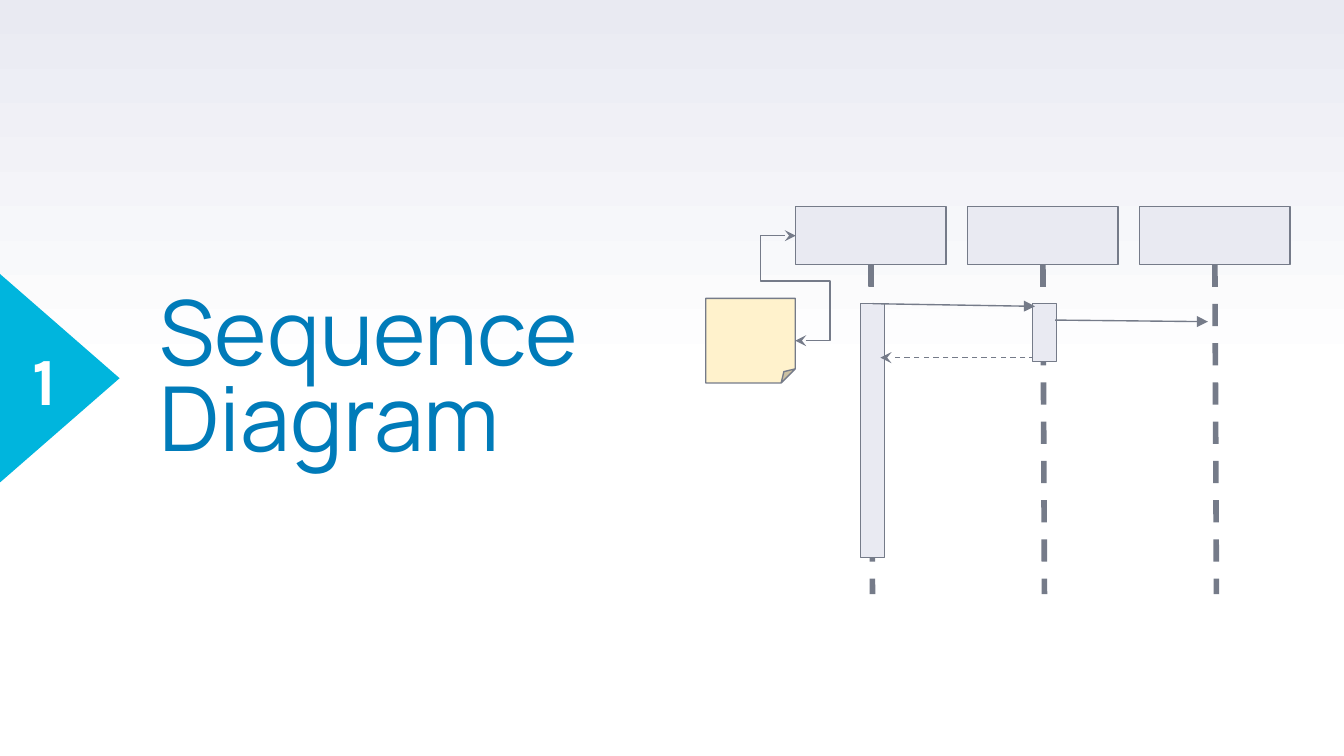
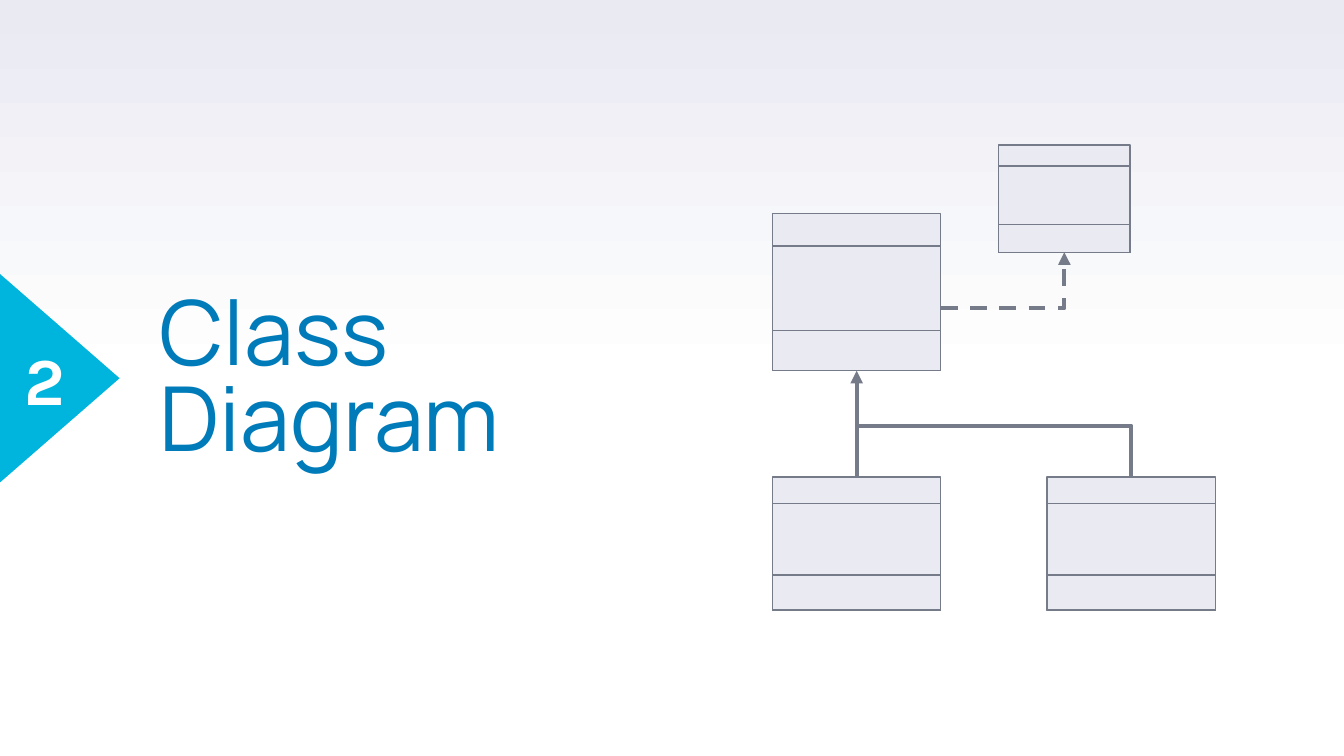
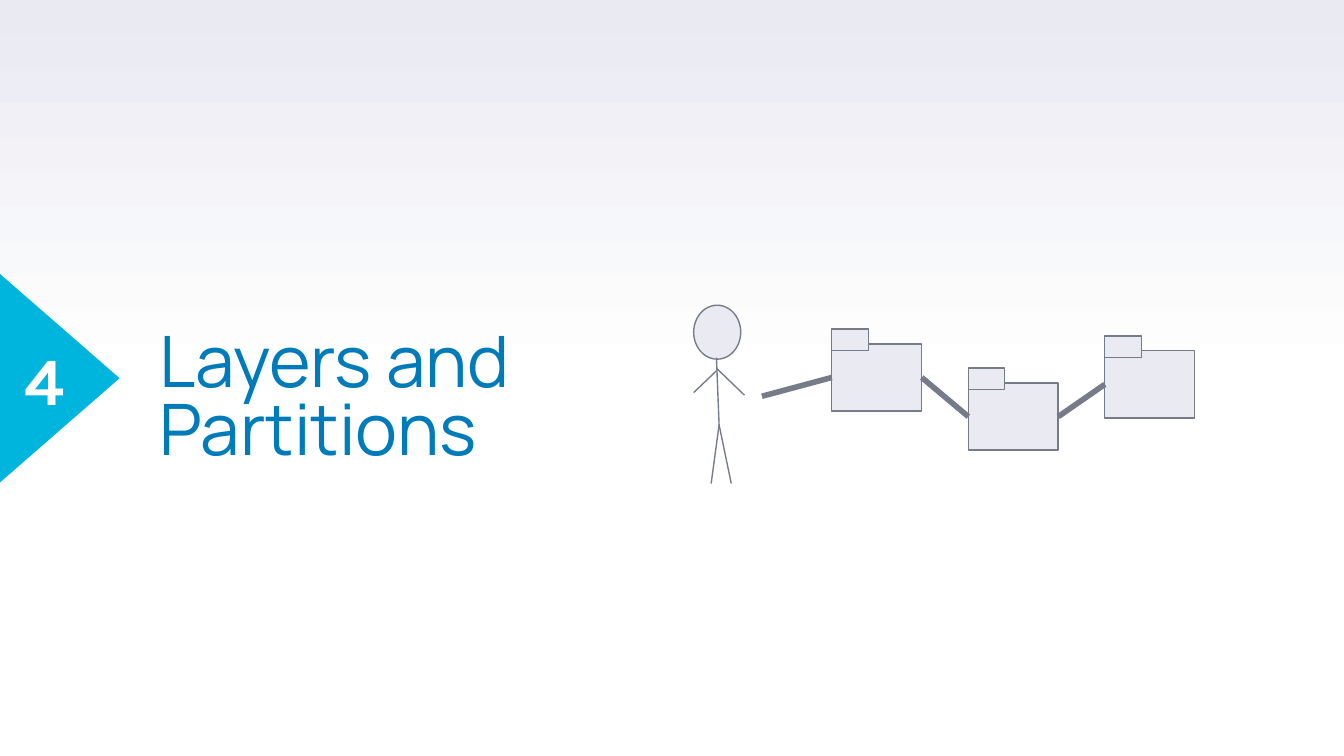
from copy import deepcopy
from dataclasses import dataclass
from typing import NamedTuple

from lxml.etree import SubElement
from pptx import Presentation
from pptx.dml.color import RGBColor
from pptx.enum.dml import MSO_LINE
from pptx.enum.shapes import MSO_CONNECTOR, MSO_SHAPE
from pptx.enum.text import MSO_ANCHOR, PP_ALIGN
from pptx.oxml.ns import qn
from pptx.shapes.autoshape import Shape
from pptx.shapes.connector import Connector
from pptx.slide import Slide
from pptx.util import Cm, Pt

COLORS = {
    "white": "FFFFFF",
    "haze": "E9EAF2",
    "cyan": "00B5DD",
    "blue": "007BB9",
    "gray": "757B89",
    "cream": "FFF2CC",
}
TOP, LEFT, BOTTOM, RIGHT = 0, 1, 2, 3


class Box(NamedTuple):
    left: float
    top: float
    wide: float
    high: float


class Spot(NamedTuple):
    x: float
    y: float


class Joint(NamedTuple):
    shape: Shape
    side: int


@dataclass(frozen=True)
class Stroke:
    width: float = 0.75
    dash: bool = False
    head: str = ""
    tail: str = ""


@dataclass(frozen=True)
class Font:
    name: str
    size: int
    color: str
    bold: bool = False


@dataclass(frozen=True)
class Card:
    """Class symbol: stacked boxes that share one bottom edge."""
    left: float
    top: float
    wide: float
    highs: tuple[float, float, float]


THIN = Stroke()
THICK = Stroke(3)
BADGE = Box(0, 5.18, 1.7, 3.94)
WEDGE = Box(-0.84, 6.02, 3.94, 2.26)


def tint(name: str) -> RGBColor:
    return RGBColor.from_string(COLORS[name])


def add_box(slide: Slide, box: Box, fill: str = "haze",
            kind: MSO_SHAPE = MSO_SHAPE.RECTANGLE, edge: str = "gray") -> Shape:
    shape = slide.shapes.add_shape(kind, *map(Cm, box))
    shape.shadow.inherit = False
    shape.fill.solid()
    shape.fill.fore_color.rgb = tint(fill)
    if edge:
        shape.line.color.rgb = tint(edge)
        shape.line.width = Pt(0.75)
    else:
        shape.line.fill.background()
    return shape


def add_line(slide: Slide, start: Spot | Joint, end: Spot | Joint,
             stroke: Stroke = THIN,
             kind: MSO_CONNECTOR = MSO_CONNECTOR.STRAIGHT) -> Connector:
    line = slide.shapes.add_connector(kind, 0, 0, 0, 0)
    if isinstance(start, Joint):
        line.begin_connect(*start)
    else:
        line.begin_x, line.begin_y = map(Cm, start)
    if isinstance(end, Joint):
        line.end_connect(*end)
    else:
        line.end_x, line.end_y = map(Cm, end)
    line.line.color.rgb = tint("gray")
    line.line.width = Pt(stroke.width)
    if stroke.dash:
        line.line.dash_style = MSO_LINE.DASH
    props = line.element.find(qn("p:spPr"))
    for tag, tip in (("a:headEnd", stroke.head), ("a:tailEnd", stroke.tail)):
        if tip:
            SubElement(props.find(qn("a:ln")), qn(tag), type=tip)
    SubElement(props, qn("a:effectLst"))
    return line


def add_elbow(slide: Slide, start: Spot | Joint, end: Spot | Joint,
              stroke: Stroke, preset: str = "bentConnector2",
              bends: tuple[float, ...] = ()) -> None:
    """Draw an elbow; bends are fractions of its width and height in turn."""
    line = add_line(slide, start, end, stroke, MSO_CONNECTOR.ELBOW)
    shape = line.element.find(".//" + qn("a:prstGeom"))
    shape.set("prst", preset)
    for count, bend in enumerate(bends, 1):
        SubElement(shape.find(qn("a:avLst")), qn("a:gd"),
                   name=f"adj{count}", fmla=f"val {round(bend * 100000)}")


def add_text(slide: Slide, box: Box, text: str, font: Font, inset: float,
             anchor: MSO_ANCHOR, align: PP_ALIGN, space: float) -> None:
    frame = slide.shapes.add_textbox(*map(Cm, box)).text_frame
    frame.word_wrap = True
    frame.vertical_anchor = anchor
    frame.margin_left = frame.margin_right = Cm(inset)
    frame.margin_top = frame.margin_bottom = Cm(inset)
    frame.text = text
    for para in frame.paragraphs:
        para.alignment = align
        para.line_spacing = space
        for run in para.runs:
            run.font.name = font.name
            run.font.size = Pt(font.size)
            run.font.bold = font.bold
            run.font.color.rgb = tint(font.color)


def paint(slide: Slide) -> None:
    """Fade the background from white at the bottom to haze at the top."""
    fill = slide.background.fill
    fill.gradient()
    fill.gradient_angle = 90
    first = slide.element.find(".//" + qn("a:gs"))
    first.addnext(deepcopy(first))
    fade = ((0, "white"), (0.5, "white"), (1, "haze"))
    for stop, (place, color) in zip(fill.gradient_stops, fade):
        stop.position = place
        stop.color.rgb = tint(color)


def start_slide(deck: Presentation, number: str, title: str, wide: float,
                size: int = 48) -> Slide:
    slide = deck.slides.add_slide(deck.slide_layouts[6])
    paint(slide)
    wedge = add_box(slide, WEDGE, "cyan", MSO_SHAPE.ISOSCELES_TRIANGLE, "")
    wedge.rotation = 90
    add_text(slide, Box(3.02, 5.64, wide, 3.23), title,
             Font("Manrope", size, "blue"), 0,
             MSO_ANCHOR.BOTTOM, PP_ALIGN.LEFT, 0.8)
    add_text(slide, BADGE, number, Font("Karla", 36, "white", True), 0.25,
             MSO_ANCHOR.MIDDLE, PP_ALIGN.CENTER, 1)
    return slide


def draw_sequence(slide: Slide) -> None:
    heads = [add_box(slide, Box(15.04 + 3.25 * col, 3.91, 2.84, 1.09))
             for col in range(3)]
    for col, head in enumerate(heads):
        add_line(slide, Joint(head, BOTTOM), Spot(16.49 + 3.25 * col, 11.23),
                 Stroke(3, dash=True))
    caller = add_box(slide, Box(16.26, 5.74, 0.46, 4.8))
    add_line(slide, Spot(19.56, 6.76), Spot(16.64, 6.76),
             Stroke(dash=True, tail="stealth"))
    add_box(slide, Box(19.51, 5.74, 0.46, 1.09))
    call = Stroke(tail="triangle")
    add_line(slide, Joint(caller, TOP), Spot(19.56, 5.79), call)
    add_line(slide, Spot(19.94, 6.05), Spot(22.83, 6.08), call)
    note = add_box(slide, Box(13.34, 5.64, 1.69, 1.6), "cream",
                   MSO_SHAPE.FOLDED_CORNER)
    add_elbow(slide, Joint(note, RIGHT), Joint(heads[0], LEFT),
              Stroke(head="stealth", tail="stealth"),
              "bentConnector5", (66, 0.57, -66))


def add_card(slide: Slide, card: Card) -> list[Shape]:
    base = card.top + card.highs[0]
    return [add_box(slide, Box(card.left, base - high, card.wide, high))
            for high in card.highs]


def draw_classes(slide: Slide) -> None:
    parent = add_card(slide, Card(14.6, 4.04, 3.18, (2.97, 2.36, 0.76)))
    child, other = [
        add_card(slide, Card(left, 9.02, 3.18, (2.51, 2.01, 0.66)))
        for left in (14.6, 19.79)]
    helper = add_card(slide, Card(18.87, 2.74, 2.49, (2.03, 1.63, 0.53)))
    add_line(slide, Joint(parent[0], BOTTOM), Joint(child[0], TOP),
             Stroke(2.25, head="triangle"))
    add_elbow(slide, Joint(parent[1], RIGHT), Joint(helper[0], BOTTOM),
              Stroke(2.25, dash=True, tail="triangle"))
    add_elbow(slide, Spot(16.23, 8.05), Joint(other[0], TOP), Stroke(2.25))


def draw_actor(slide: Slide) -> None:
    add_box(slide, Box(13.11, 5.77, 0.89, 1.02),
            kind=MSO_SHAPE.FLOWCHART_CONNECTOR)
    neck, hip = Spot(13.54, 6.76), Spot(13.59, 8.03)
    limbs = (
        (neck, hip),
        (Spot(13.54, 6.96), Spot(14.07, 7.47)),
        (Spot(13.11, 7.42), Spot(13.54, 7.01)),
        (hip, Spot(13.44, 9.14)),
        (hip, Spot(13.82, 9.14)),
    )
    for start, end in limbs:
        add_line(slide, start, end)


def draw_layers(slide: Slide) -> None:
    draw_actor(slide)
    start = Spot(14.4, 7.49)
    for col, top in enumerate((6.5, 7.24, 6.63)):
        left = 15.72 + 2.58 * col
        folder = add_box(slide, Box(left, top, 1.7, 1.27))
        add_box(slide, Box(left, top - 0.28, 0.69, 0.41))
        add_line(slide, start, Joint(folder, LEFT), THICK)
        start = Joint(folder, RIGHT)


def main() -> None:
    deck = Presentation()
    deck.slide_width, deck.slide_height = Cm(25.4), Cm(14.29)
    draw_sequence(start_slide(deck, "1", "Sequence Diagram", 12.98))
    draw_classes(start_slide(deck, "2", "Class\nDiagram", 10.26))
    draw_layers(start_slide(deck, "4", "Layers and Partitions", 8.92, 38))
    deck.save("out.pptx")


if __name__ == "__main__":
    main()
